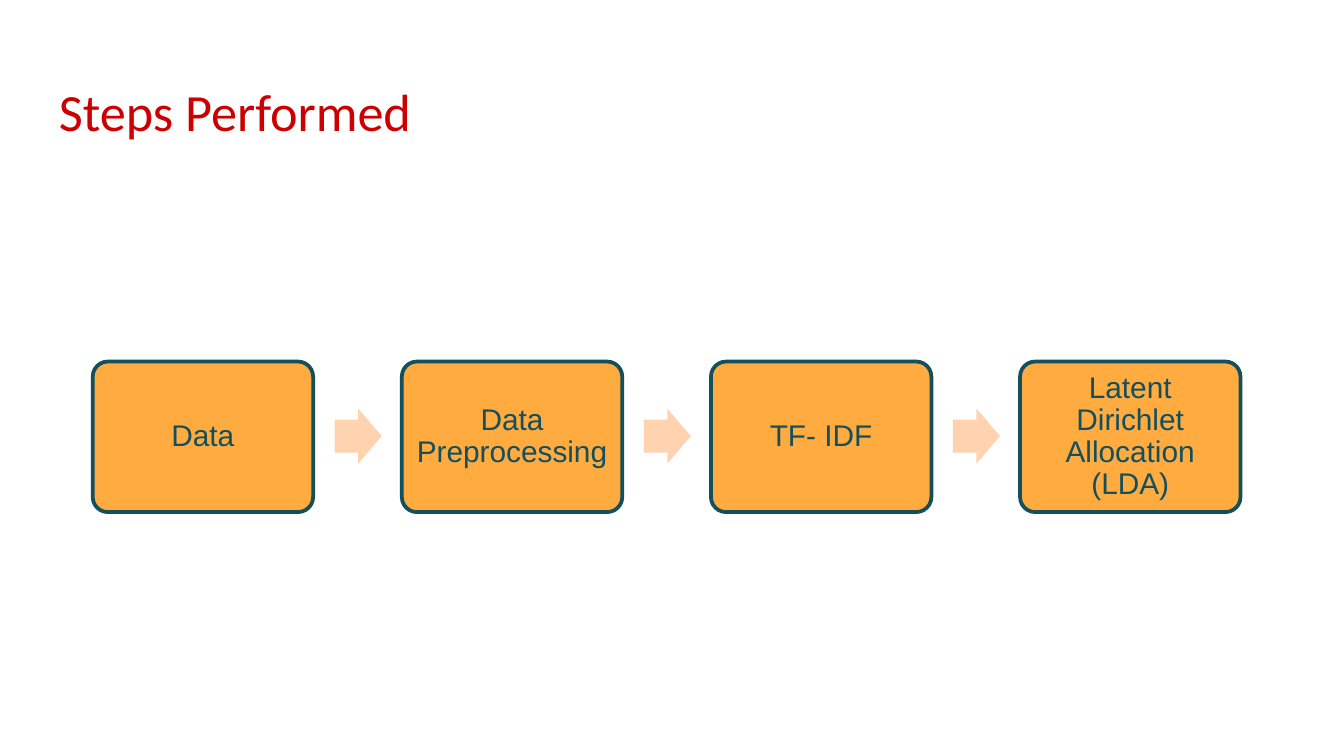
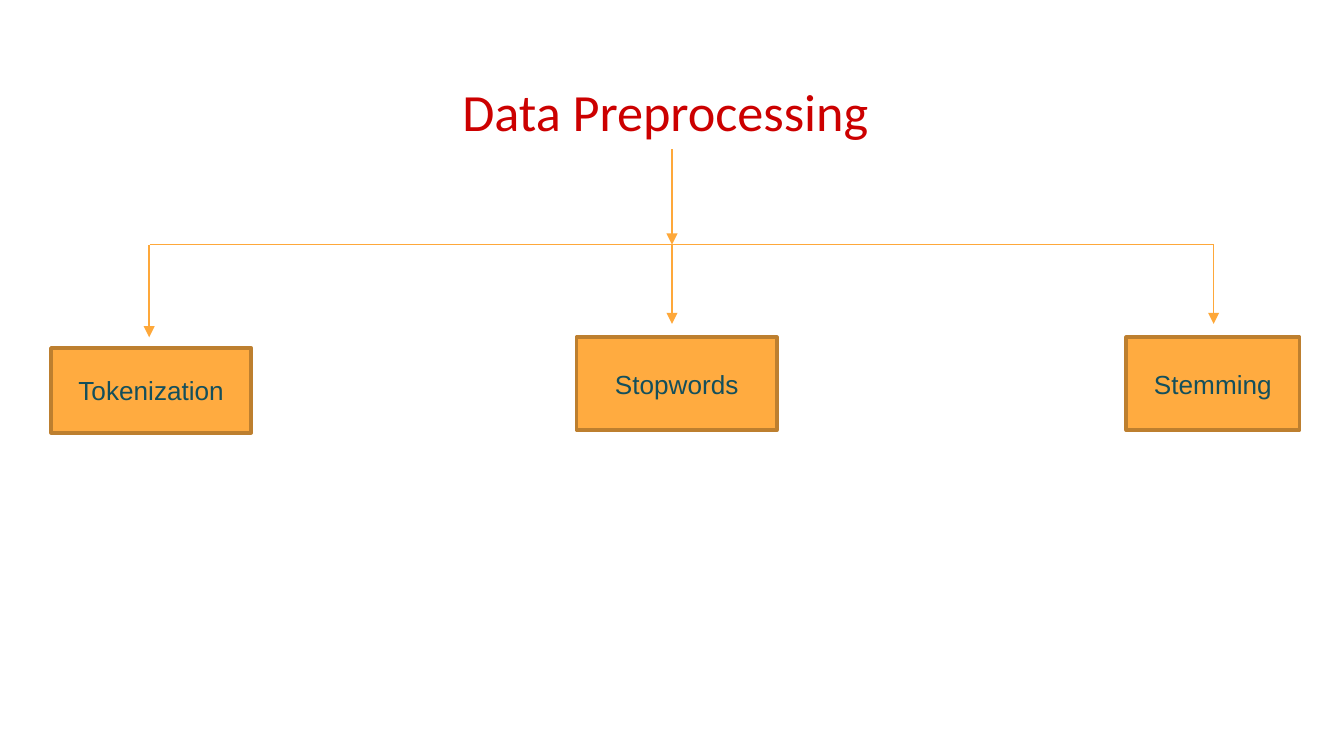
from lxml.etree import SubElement
from pptx import Presentation
from pptx.dml.color import RGBColor
from pptx.enum.shapes import MSO_CONNECTOR, MSO_SHAPE
from pptx.enum.text import MSO_ANCHOR, PP_ALIGN
from pptx.oxml.ns import qn
from pptx.util import Inches, Pt

RED = RGBColor(0xCC, 0x00, 0x00)
ORANGE = RGBColor(0xFF, 0xAB, 0x40)
PEACH = RGBColor(0xFF, 0xD2, 0xB0)
TEAL = RGBColor(0x13, 0x4F, 0x5C)
BROWN = RGBColor(0xBD, 0x7F, 0x2F)
AMBER = RGBColor(0xFE, 0xA8, 0x3A)


def set_font(para, name, size, color):
    para.font.name = name
    para.font.size = Pt(size)
    para.font.color.rgb = color


def add_title(slide, text, indent=0):
    box = slide.shapes.add_textbox(Inches(0.34), Inches(0.49), Inches(9.32), Inches(0.63))
    frame = box.text_frame
    frame.word_wrap = True
    frame.margin_left = Inches(0.1 + indent)
    frame.margin_right = frame.margin_top = frame.margin_bottom = Inches(0.1)
    frame.text = text
    set_font(frame.paragraphs[0], "Calibri", 28, RED)


def add_block(slide, kind, left, top, width, height, fill, edge=None):
    block = slide.shapes.add_shape(
        kind, Inches(left), Inches(top), Inches(width), Inches(height))
    block.shadow.inherit = False
    block.fill.solid()
    block.fill.fore_color.rgb = fill
    if edge is None:
        block.line.fill.background()
    else:
        block.line.color.rgb = edge
        block.line.width = Pt(2)
    return block


def add_label(block, text, size):
    frame = block.text_frame
    frame.word_wrap = True
    frame.vertical_anchor = MSO_ANCHOR.MIDDLE
    frame.text = text
    para = frame.paragraphs[0]
    para.alignment = PP_ALIGN.CENTER
    set_font(para, "Arial", size, TEAL)
    return frame


def add_step(slide, left, text):
    block = add_block(slide, MSO_SHAPE.ROUNDED_RECTANGLE,
                      left, 2.69, 1.64, 1.12, ORANGE, TEAL)
    block.adjustments[0] = 0.1
    frame = add_label(block, text, 16)
    frame.margin_left = frame.margin_right = Inches(0.07)
    frame.margin_top = frame.margin_bottom = Inches(0.07)
    frame.paragraphs[0].line_spacing = 0.9


def add_arrow(slide, left):
    arrow = add_block(slide, MSO_SHAPE.RIGHT_ARROW, left, 3.04, 0.35, 0.41, PEACH)
    arrow.adjustments[0] = 0.6
    arrow.adjustments[1] = 0.5


def add_line(slide, x1, y1, x2, y2, head=True):
    line = slide.shapes.add_connector(
        MSO_CONNECTOR.STRAIGHT, Inches(x1), Inches(y1), Inches(x2), Inches(y2))
    line.line.color.rgb = AMBER
    line.line.width = Pt(0.75)
    if head:
        SubElement(line.line._get_or_add_ln(), qn("a:tailEnd"), type="triangle")
    SubElement(line._element.spPr, qn("a:effectLst"))


def build_steps(slide):
    add_title(slide, "Steps Performed")
    steps = ["Data", "Data Preprocessing", "TF- IDF",
             "Latent Dirichlet Allocation (LDA)"]
    for i, text in enumerate(steps):
        left = 0.69 + 2.3 * i
        if i:
            add_arrow(slide, left - 0.5)
        add_step(slide, left, text)


def build_tree(slide):
    add_title(slide, "Data Preprocessing", indent=3)
    bar = 1.82
    add_line(slide, 5, 1.11, 5, bar)
    add_line(slide, 9.03, bar, 1.12, bar, head=False)
    leaves = [
        ("Tokenization", 1.11, 2.51, 0.38, 2.59, 1.49, 0.63),
        ("Stopwords", 5, 2.41, 4.29, 2.51, 1.49, 0.69),
        ("Stemming", 9.03, 2.41, 8.38, 2.51, 1.29, 0.69),
    ]
    for text, x, end, *place in leaves:
        add_line(slide, x, bar, x, end)
        block = add_block(slide, MSO_SHAPE.RECTANGLE, *place, ORANGE, BROWN)
        add_label(block, text, 14)


def main():
    deck = Presentation()
    deck.slide_width = Inches(10)
    deck.slide_height = Inches(10 * 9 / 16)
    for build in (build_steps, build_tree):
        build(deck.slides.add_slide(deck.slide_layouts[6]))
    deck.save("out.pptx")


if __name__ == "__main__":
    main()
